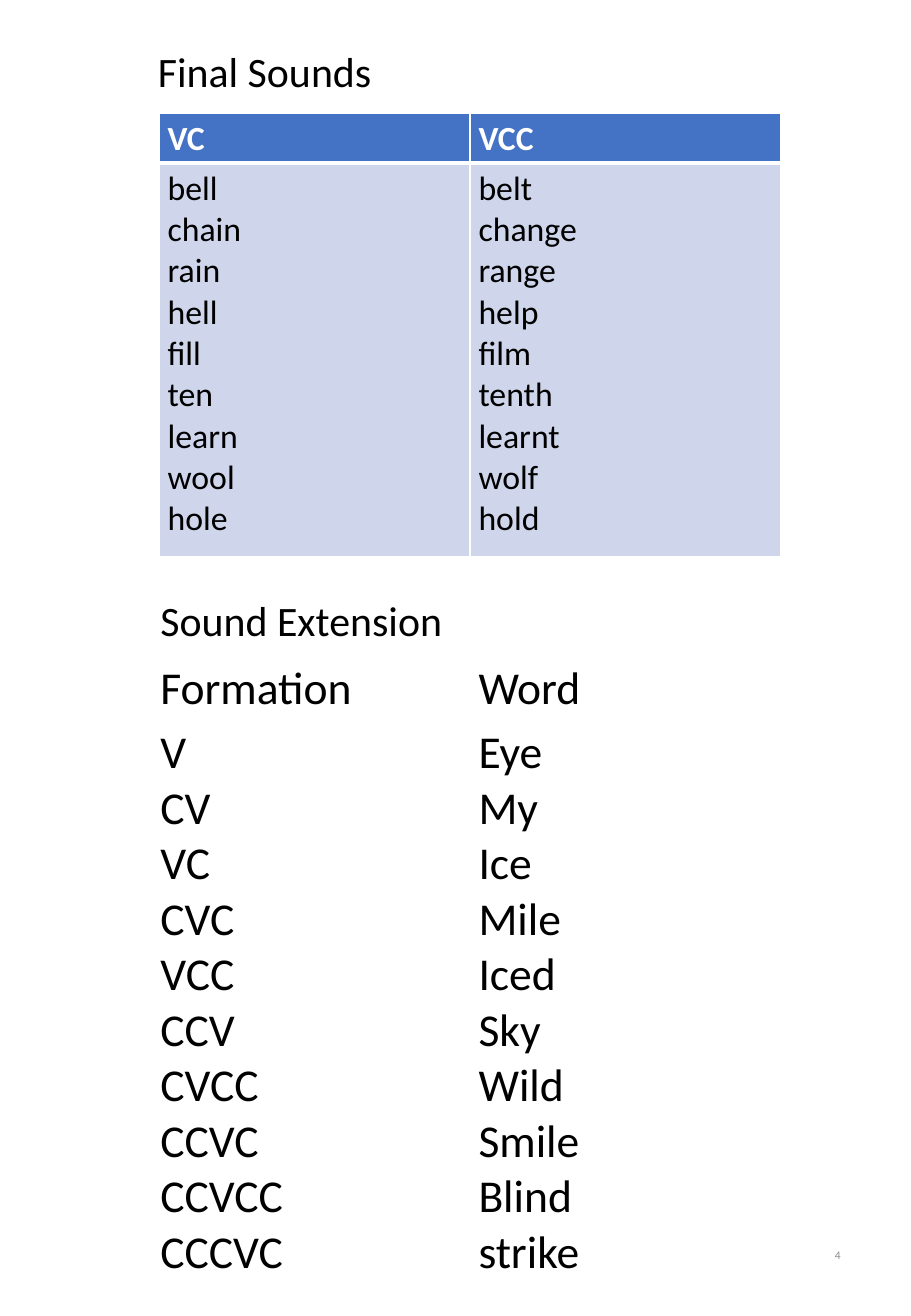
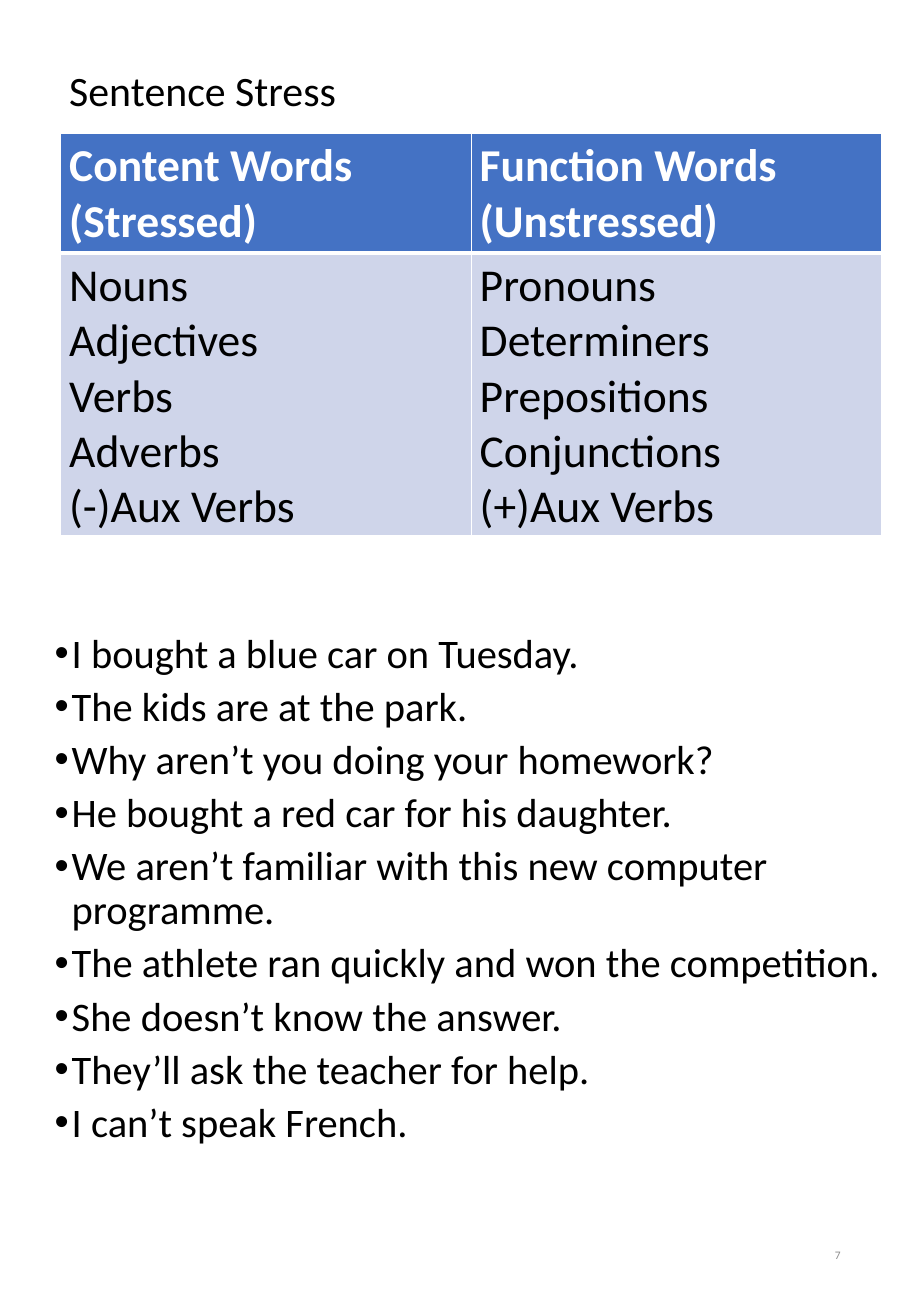
from lxml import etree
from pptx import Presentation
from pptx import util as u
from pptx.dml.color import RGBColor
from pptx.enum import text
from pptx.oxml import ns

COLORS = {"ink": "000000", "paper": "FFFFFF", "header": "4472C4",
          "body": "CFD5EA", "page": "8C8C8C"}
FONT = "Calibri"
INSETS = {"margin_left": 0.07, "margin_top": 0.04,
          "margin_right": 0.07, "margin_bottom": 0.04}
TITLE = {"size": 24.8}
SENTENCE = {"size": 24}
PAGE = {"size": 6.8, "color": "page"}
PAGE_BOX = (5.3, 10.04, 1.69, 0.58)
BULLET_INDENT = 0.14
MIDDLE = text.MSO_ANCHOR.MIDDLE
TIGHT = {"line_spacing": 0.9}

SLIDES = [
    {
        "titles": [("Final Sounds", (1.23, 0.28, 5.6, 0.65)),
                   ("Sound Extension", (1.25, 4.83, 6.31, 0.59))],
        "tables": [
            {"at": (1.31, 0.93), "columns": (2.56, 2.56), "rows": (0.41, 3.24),
             "size": 20, "styled": True,
             "cells": [
                 [["VC"], ["VCC"]],
                 [["bell", "chain", "rain", "hell", "fill", "ten", "learn", "wool", "hole"],
                  ["belt", "change", "range", "help", "film", "tenth", "learnt", "wolf", "hold"]]]},
            {"at": (1.25, 5.4), "columns": (2.62, 4.12), "rows": (0.53, 4.58),
             "size": 27, "styled": False,
             "cells": [
                 [["Formation"], ["Word"]],
                 [["V", "CV", "VC", "CVC", "VCC", "CCV", "CVCC", "CCVC", "CCVCC", "CCCVC"],
                  ["Eye", "My", "Ice", "Mile", "Iced", "Sky", "Wild", "Smile", "Blind", "strike"]]]},
        ],
        "sentences": [],
        "page": "4",
    },
    {
        "titles": [("Sentence Stress", (0.5, 0.42, 6.75, 0.69))],
        "tables": [
            {"at": (0.5, 1.1), "columns": (3.38, 3.38), "rows": (0.97, 2.33),
             "size": 27, "styled": True,
             "cells": [
                 [["Content Words", "(Stressed)"], ["Function Words", "(Unstressed)"]],
                 [["Nouns", "Adjectives", "Verbs", "Adverbs", "(-)Aux Verbs"],
                  ["Pronouns", "Determiners", "Prepositions", "Conjunctions", "(+)Aux Verbs"]]]},
        ],
        "sentences": [
            "I bought a blue car on Tuesday.",
            "The kids are at the park.",
            "Why aren’t you doing your homework?",
            "He bought a red car for his daughter.",
            "We aren’t familiar with this new computer programme.",
            "The athlete ran quickly and won the competition.",
            "She doesn’t know the answer.",
            "They’ll ask the teacher for help.",
            "I can’t speak French.",
        ],
        "page": "7",
    },
]
SENTENCES_BOX = (0.38, 5.17, 7.12, 4.38)


def set_all(target, values):
    for name, value in values.items():
        setattr(target, name, value)


def set_insets(target):
    set_all(target, {name: u.Inches(value) for name, value in INSETS.items()})


def write(frame, lines, size, color="ink", bold=False, layout=None):
    for index, line in enumerate(lines):
        paragraph = frame.add_paragraph() if index else frame.paragraphs[0]
        set_all(paragraph, layout or {})
        run = paragraph.add_run()
        run.text = line
        set_all(run.font, {"name": FONT, "size": u.Pt(size), "bold": bold})
        run.font.color.rgb = RGBColor.from_string(COLORS[color])


def add_text(slide, box, lines, style, layout, anchor=MIDDLE):
    frame = slide.shapes.add_textbox(*map(u.Inches, box)).text_frame
    set_insets(frame)
    set_all(frame, {"word_wrap": True, "vertical_anchor": anchor})
    write(frame, lines, layout=layout, **style)
    return frame


def add_bullets(frame):
    indent = u.Inches(BULLET_INDENT)
    for paragraph in frame.paragraphs:
        properties = paragraph._p.get_or_add_pPr()
        properties.set("marL", str(indent))
        properties.set("indent", str(-indent))
        etree.SubElement(properties, ns.qn("a:buFont"), typeface="Arial")
        etree.SubElement(properties, ns.qn("a:buChar"), char="•")


def add_borders(cell, widths):
    properties = cell._tc.get_or_add_tcPr()
    for side, width in widths.items():
        line = etree.SubElement(properties, ns.qn("a:ln" + side), w=str(u.Pt(width)))
        fill = etree.SubElement(line, ns.qn("a:solidFill"))
        etree.SubElement(fill, ns.qn("a:srgbClr"), val=COLORS["paper"])


def add_word_table(slide, at, columns, rows, size, styled, cells):
    box = (*at, sum(columns), sum(rows))
    table = slide.shapes.add_table(len(rows), len(columns), *map(u.Inches, box)).table
    set_all(table, {"first_row": styled, "horz_banding": styled})
    for column, width in zip(table.columns, columns):
        column.width = u.Inches(width)
    for row_index, height in enumerate(rows):
        table.rows[row_index].height = u.Inches(height)
        heading = styled and row_index == 0
        for column_index, lines in enumerate(cells[row_index]):
            cell = table.cell(row_index, column_index)
            set_insets(cell)
            write(cell.text_frame, lines, size, "paper" if heading else "ink", heading)
            if styled:
                add_borders(cell, {"L": 1, "R": 1, "T": 1 if heading else 3,
                                   "B": 3 if heading else 1})
                cell.fill.solid()
                color = COLORS["header" if heading else "body"]
                cell.fill.fore_color.rgb = RGBColor.from_string(color)
            else:
                cell.fill.background()


presentation = Presentation()
set_all(presentation, {"slide_width": u.Inches(7.5), "slide_height": u.Inches(10.83)})
for content in SLIDES:
    slide = presentation.slides.add_slide(presentation.slide_layouts[6])
    for title, box in content["titles"]:
        add_text(slide, box, [title], TITLE, TIGHT)
    for table in content["tables"]:
        add_word_table(slide, **table)
    if content["sentences"]:
        layout = {**TIGHT, "space_before": u.Pt(5.6)}
        add_bullets(add_text(slide, SENTENCES_BOX, content["sentences"], SENTENCE,
                             layout, text.MSO_ANCHOR.TOP))
    add_text(slide, PAGE_BOX, [content["page"]], PAGE, {"alignment": text.PP_ALIGN.RIGHT})
presentation.save("out.pptx")
